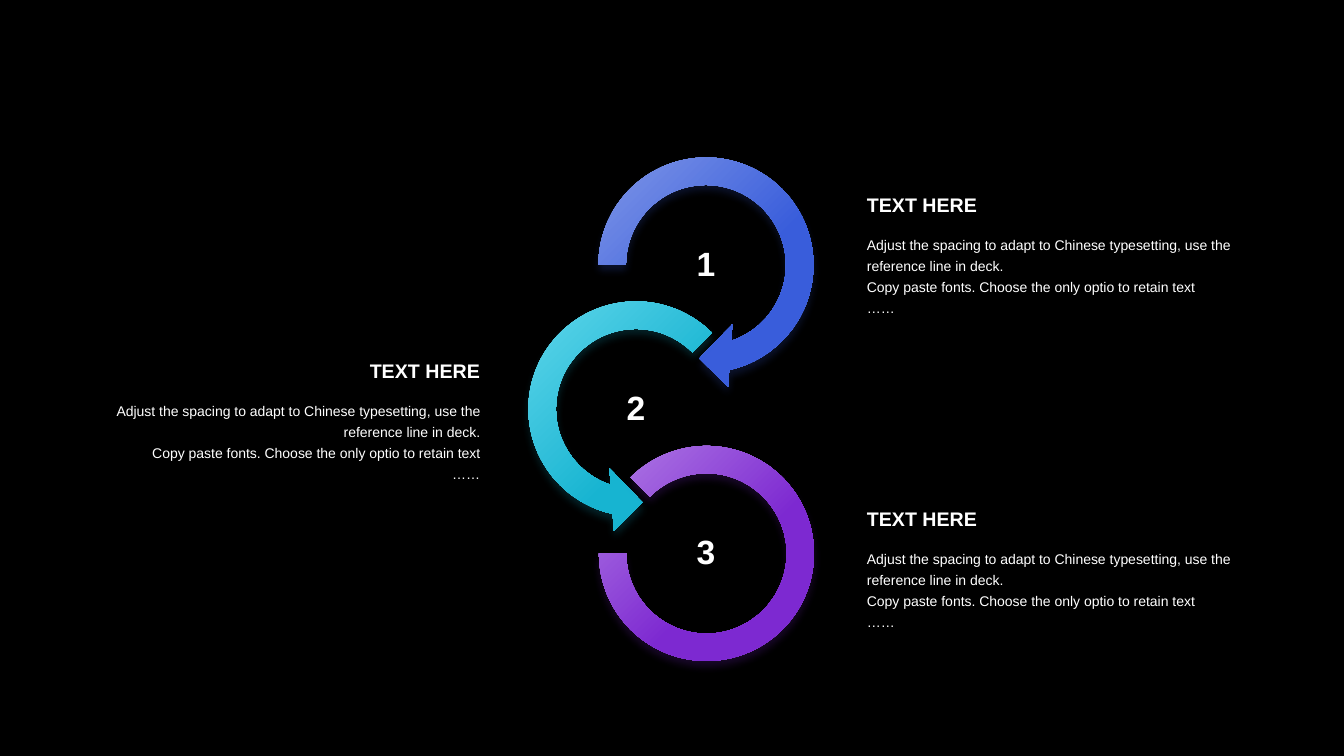
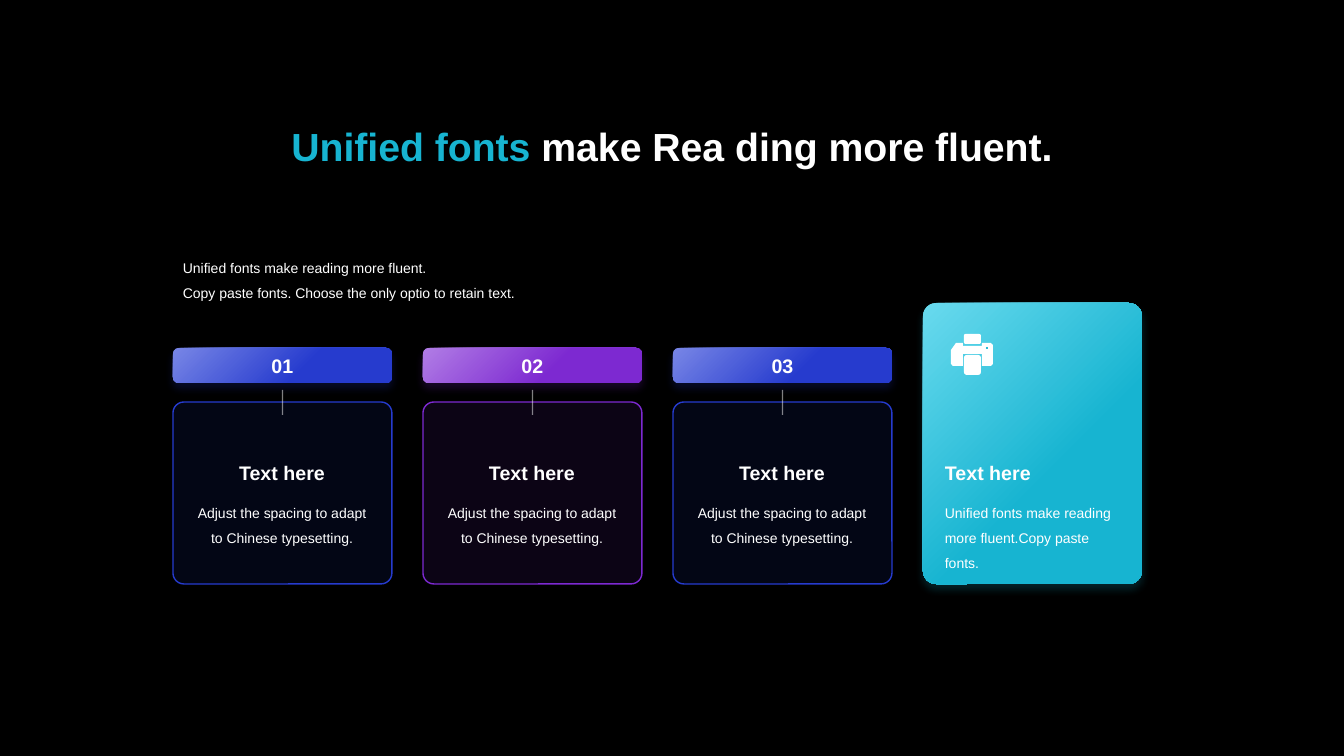
from lxml.etree import SubElement
from pptx import Presentation
from pptx.dml.color import RGBColor
from pptx.enum.shapes import MSO_CONNECTOR, MSO_SHAPE
from pptx.enum.text import MSO_ANCHOR, MSO_AUTO_SIZE, PP_ALIGN
from pptx.oxml.ns import qn
from pptx.util import Emu, Pt

PAGE_WIDTH, PAGE_HEIGHT = 1344, 756
EMU_PER_PX = 914400 / 100.8
FONT = "Arial"

BLACK = RGBColor(0x00, 0x00, 0x00)
WHITE = RGBColor(0xFF, 0xFF, 0xFF)
TEAL = RGBColor(0x17, 0xB4, 0xD1)
PURPLE = RGBColor(0x7D, 0x29, 0xD1)
INDIGO = RGBColor(0x26, 0x3B, 0xCE)
BLUE = RGBColor(0x39, 0x5D, 0xDB)
TINTS = {
    TEAL: RGBColor(0x69, 0xDA, 0xEE),
    PURPLE: RGBColor(0xB1, 0x7D, 0xE5),
    INDIGO: RGBColor(0x78, 0x86, 0xE6),
    BLUE: RGBColor(0x88, 0x9E, 0xE9),
}

STEP_TEXT = [
    "Adjust the spacing to adapt to Chinese typesetting, use the reference line in deck.",
    "Copy paste fonts. Choose the only optio to retain text",
    "……",
]
CARD_TEXT = ["Adjust the spacing to adapt to Chinese typesetting."]


def px(length):
    return Emu(round(length * EMU_PER_PX))


def px_box(*lengths):
    return [px(length) for length in lengths]


def write(frame, paras, size=10, bold=False, color=WHITE, align=PP_ALIGN.LEFT,
          spacing=None, anchor=MSO_ANCHOR.TOP, wrap=True):
    """Fill a text frame; a paragraph is a string or a list of (text, color) spans."""
    frame.word_wrap = wrap
    frame.auto_size = MSO_AUTO_SIZE.NONE
    frame.vertical_anchor = anchor
    for index, spans in enumerate(paras):
        para = frame.add_paragraph() if index else frame.paragraphs[0]
        para.alignment = align
        if spacing:
            para.line_spacing = spacing
        for text, tone in [(spans, color)] if isinstance(spans, str) else spans:
            span = para.add_run()
            span.text = text
            span.font.name = FONT
            span.font.size = Pt(size)
            span.font.bold = bold
            span.font.color.rgb = tone


def add_text(shapes, box, paras, **text_format):
    text_box = shapes.add_textbox(*px_box(*box))
    write(text_box.text_frame, paras, **text_format)
    return text_box


def fade(fill_parent, percent):
    """Make the solid colour below an element partly transparent."""
    color = fill_parent.find(qn("a:solidFill")).find(qn("a:srgbClr"))
    SubElement(color, qn("a:alpha"), val=str(percent * 1000))


def add_plain(shapes, kind, box, color, adjustments=()):
    shape = shapes.add_shape(kind, *px_box(*box))
    for index, value in enumerate(adjustments):
        shape.adjustments[index] = value
    return paint(shape, color)


def paint(shape, color):
    shape.fill.solid()
    shape.fill.fore_color.rgb = color
    shape.line.fill.background()
    shape.shadow.inherit = False
    return shape


def add_glowing(shapes, kind, box, color, adjustments=()):
    """Add a shape with a diagonal gradient and a soft shadow of its own colour."""
    shape = add_plain(shapes, kind, box, color, adjustments)
    shape.fill.gradient()
    shape.fill.gradient_angle = 315
    for stop, tone, position in zip(shape.fill.gradient_stops, (TINTS[color], color), (0, 0.6)):
        stop.color.rgb = tone
        stop.position = position
    effects = shape.element.spPr.find(qn("a:effectLst"))
    shadow = SubElement(effects, qn("a:outerShdw"), blurRad=str(Pt(6)), dist=str(Pt(4)),
                        dir="5400000", algn="t", rotWithShape="0")
    tone = SubElement(shadow, qn("a:srgbClr"), val=str(color))
    SubElement(tone, qn("a:alpha"), val="20000")
    return shape


def add_ring(page, center, size, number, kind, color, adjustments):
    shapes = page.shapes.add_group_shape().shapes
    x, y = center
    add_glowing(shapes, kind, (x - size // 2, y - size // 2, size, size), color, adjustments)
    label = add_text(shapes, (x - 70, y - 34, 140, 70), [number], size=24, bold=True,
                     align=PP_ALIGN.CENTER, spacing=0.9, anchor=MSO_ANCHOR.MIDDLE)
    frame = label.text_frame
    frame.margin_left = frame.margin_right = frame.margin_top = frame.margin_bottom = px(3)


def add_callout(page, left, top, align):
    shapes = page.shapes.add_group_shape().shapes
    add_text(shapes, (left, top, 386, 34), ["TEXT HERE"], size=14, bold=True, align=align)
    add_text(shapes, (left, top + 39, 386, 93), STEP_TEXT, align=align, spacing=Pt(15))


def add_card_text(shapes, left, top, paras, align):
    add_text(shapes, (left, top, 194, 34), ["Text here"], size=14, bold=True, align=align)
    add_text(shapes, (left, top + 35, 194, 84), paras, align=align, spacing=1.5)


def add_numbered_card(page, box, number, color):
    """Place a number bar, a tick and an outlined card in the box."""
    left, top, width, height = box
    shapes = page.shapes.add_group_shape().shapes
    panel = add_plain(shapes, MSO_SHAPE.ROUNDED_RECTANGLE,
                      (left, top + 54, width, height - 54), color, [0.06])
    fade(panel.element.spPr, 10)
    panel.line.color.rgb = color
    panel.line.width = Pt(1)
    add_card_text(shapes, left + 12, top + 108, CARD_TEXT, PP_ALIGN.CENTER)

    bar = add_glowing(shapes, MSO_SHAPE.ROUNDED_RECTANGLE, (left, top, width, 35), color)
    write(bar.text_frame, [number], size=14, bold=True, align=PP_ALIGN.CENTER,
          anchor=MSO_ANCHOR.MIDDLE, wrap=False)

    middle = left + width / 2
    tick = shapes.add_connector(MSO_CONNECTOR.STRAIGHT,
                                *px_box(middle, top + 42, middle, top + 67))
    tick.line.color.rgb = WHITE
    tick.line.width = Pt(1)
    properties = tick.element.spPr
    fade(properties.find(qn("a:ln")), 50)
    SubElement(properties, qn("a:effectLst"))


def add_printer(shapes, left, top):
    casing = [(5, 9), (12, 9), (12, 12), (31, 12), (31, 9), (40, 9), (42, 11), (42, 30),
              (40, 32), (31, 32), (31, 20), (12, 20), (12, 32), (2, 32), (0, 30), (0, 16)]
    points = [(left + x, top + y) for x, y in casing]
    builder = shapes.build_freeform(*points[0], scale=EMU_PER_PX)
    builder.add_line_segments(points[1:])
    paint(builder.convert_to_shape(), WHITE)
    for y, height in ((0, 10), (21, 20)):
        add_plain(shapes, MSO_SHAPE.ROUNDED_RECTANGLE, (left + 13, top + y, 17, height), WHITE)
    add_plain(shapes, MSO_SHAPE.OVAL, (left + 35, top + 13, 2, 2), TEAL)


def add_highlight_card(page, box):
    left, top, width, height = box
    shapes = page.shapes.add_group_shape().shapes
    add_glowing(shapes, MSO_SHAPE.ROUNDED_RECTANGLE, box, TEAL, [0.06])
    add_card_text(shapes, left + 12, top + 153,
                  ["Unified fonts make reading more fluent.Copy paste fonts."], PP_ALIGN.LEFT)
    add_printer(shapes, left + 28, top + 31)


def add_title(page, box, spans):
    title = page.shapes.title
    title.left, title.top, title.width, title.height = px_box(*box)
    write(title.text_frame, [spans], size=28, bold=True, align=PP_ALIGN.CENTER)


def build_steps_page(deck):
    page = deck.slides.add_slide(deck.slide_layouts[6])
    rings = [
        (706, 250, MSO_SHAPE.CIRCULAR_ARROW, BLUE, (0.11, 11.423, 45, 108, 0.125)),
        (636, 250, MSO_SHAPE.LEFT_CIRCULAR_ARROW, TEAL, (0.11, 11.423, 63, 189, 0.125)),
        (706, 215, MSO_SHAPE.BLOCK_ARC, PURPLE, (135, 108, 0.127)),
    ]
    for index, (x, size, kind, color, adjustments) in enumerate(rings):
        add_ring(page, (x, 265 + 144 * index), size, str(index + 1), kind, color, adjustments)
    add_callout(page, 857, 188, PP_ALIGN.LEFT)
    add_callout(page, 104, 354, PP_ALIGN.RIGHT)
    add_callout(page, 857, 502, PP_ALIGN.LEFT)


def build_cards_page(deck):
    page = deck.slides.add_slide(deck.slide_layouts[5])
    add_title(page, (224, 117, 896, 57),
              [("Unified fonts ", TEAL), ("make Rea ding more fluent.", WHITE)])
    add_text(page.shapes, (173, 246, 719, 57),
             ["Unified fonts make reading more fluent.",
              "Copy paste fonts. Choose the only optio to retain text."], spacing=1.5)
    left, pitch, width, bottom = 173, 250, 219, 584
    colors = (INDIGO, PURPLE, INDIGO)
    for index, color in enumerate(colors):
        add_numbered_card(page, (left + pitch * index, 348, width, bottom - 348),
                          f"{index + 1:02}", color)
    add_highlight_card(page, (left + pitch * len(colors), 303, width, bottom - 303))


def main():
    deck = Presentation()
    deck.slide_width, deck.slide_height = px(PAGE_WIDTH), px(PAGE_HEIGHT)
    background = deck.slide_master.background.fill
    background.solid()
    background.fore_color.rgb = BLACK
    build_steps_page(deck)
    build_cards_page(deck)
    deck.save("out.pptx")


if __name__ == "__main__":
    main()
